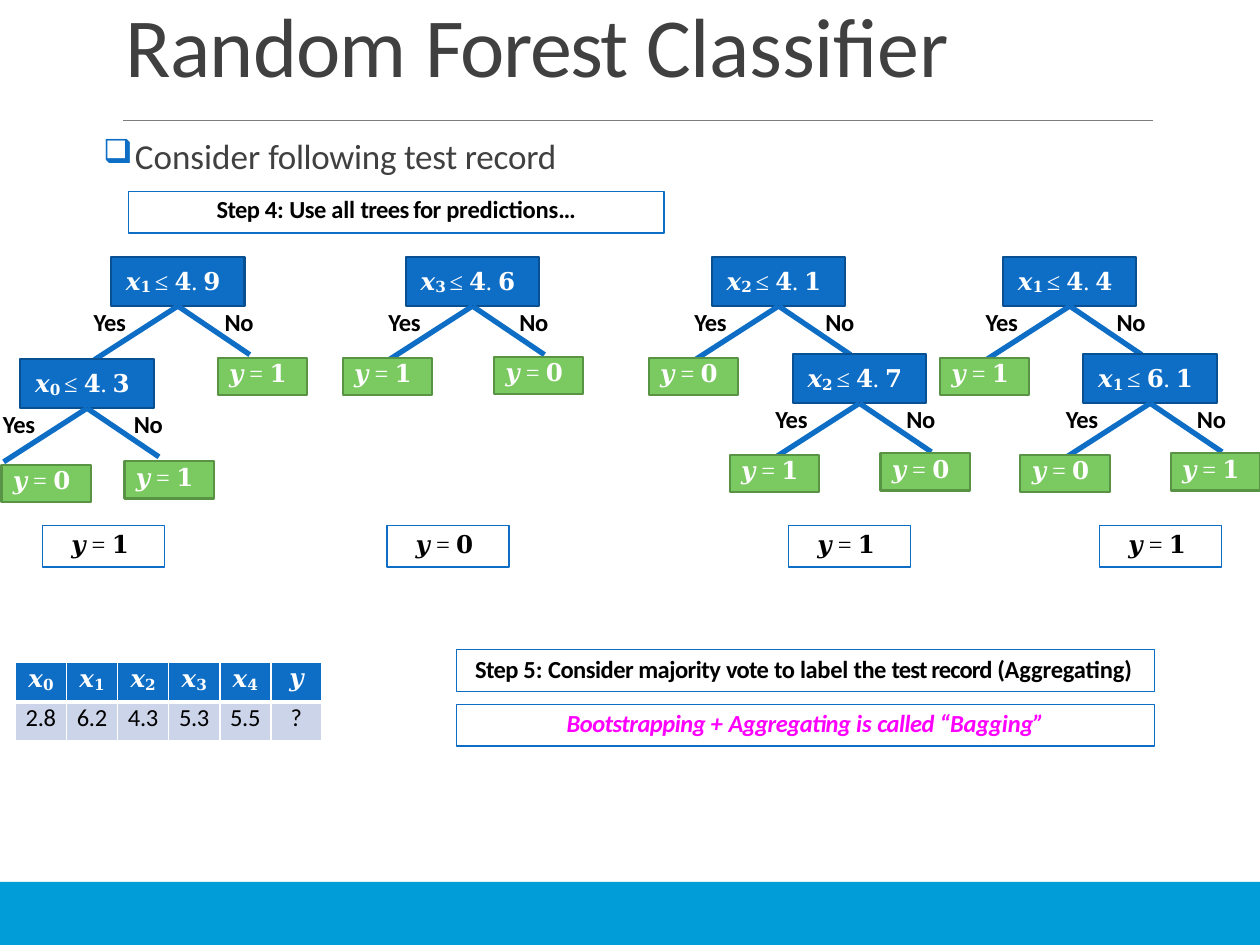
from lxml.etree import SubElement
from pptx import Presentation
from pptx.dml.color import RGBColor
from pptx.enum.shapes import MSO_CONNECTOR, MSO_SHAPE
from pptx.enum.text import MSO_ANCHOR, PP_ALIGN
from pptx.oxml import parse_xml
from pptx.oxml.ns import nsdecls, qn
from pptx.util import Cm, Pt

color = RGBColor.from_string
BLUE, GREEN, WHITE, BLACK = "0E6EC5", "7BC961", "FFFFFF", "000000"
HEADING = {"name": "Calibri", "size": Pt(48), "bold": False}
BODY = {"name": "Calibri", "size": Pt(20), "bold": False}
CELL = {"name": "Calibri", "size": Pt(14), "bold": False}
STRONG = {"name": "Calibri", "size": Pt(14), "bold": True}
STRONG_ITALIC = {**STRONG, "italic": True}
MATH = {"name": "Times New Roman", "size": Pt(14), "bold": False}


def write(paragraph, runs, style, hue, before=1, indent=0, centered=False):
    """Each run is (text, letter spacing in 1/100 pt, optional subscript flag)."""
    paragraph.alignment = PP_ALIGN.CENTER if centered else PP_ALIGN.LEFT
    paragraph.space_before = Pt(before)
    paragraph._p.get_or_add_pPr().set("marL", str(Cm(indent)))
    for text, spacing, *subscript in runs:
        run = paragraph.add_run()
        run.text = text
        for name, value in style.items():
            setattr(run.font, name, value)
        run.font.color.rgb = color(hue)
        properties = run._r.get_or_add_rPr()
        properties.set("spc", str(spacing))
        if subscript:
            run.font.size = Pt(15)
            properties.set("baseline", "-11000")


def add_box(at, runs, style, hue, fill=None, line=None, width=0.75, inset=0.03, **layout):
    lengths = [Cm(value) for value in at]
    if line:
        shape = slide.shapes.add_shape(MSO_SHAPE.RECTANGLE, *lengths)
        shape.shadow.inherit = False
        shape.line.color.rgb = color(line)
        shape.line.width = Pt(width)
        if fill:
            shape.fill.solid()
            shape.fill.fore_color.rgb = color(fill)
        else:
            shape.fill.background()
    else:
        shape = slide.shapes.add_textbox(*lengths)
    frame = shape.text_frame
    frame.word_wrap = True
    frame.vertical_anchor = MSO_ANCHOR.TOP
    frame.margin_left = frame.margin_right = frame.margin_bottom = 0
    frame.margin_top = Cm(inset)
    write(frame.paragraphs[0], runs, style, hue, **layout)
    return shape


presentation = Presentation()
presentation.slide_width, presentation.slide_height = Cm(25.4), Cm(19.05)
slide = presentation.slides.add_slide(presentation.slide_layouts[6])

# Footer band and title rule
band = slide.shapes.add_shape(MSO_SHAPE.RECTANGLE, 0, Cm(17.78), Cm(25.4), Cm(1.27))
band.shadow.inherit = False
band.fill.solid()
band.fill.fore_color.rgb = color("009DD9")
band.line.fill.background()
rule = slide.shapes.add_connector(MSO_CONNECTOR.STRAIGHT, Cm(2.48), Cm(2.43), Cm(23.24), Cm(2.43))
rule.line.color.rgb = color("7E7E7E")
rule.line.width = Pt(0.5)
SubElement(rule._element.spPr, qn("a:effectLst"))

# Title and bulleted sentence
add_box((0.76, -0.15, 21.82, 2.16), [("Random ", -50), ("Forest ", -90), ("Classifier", -20)],
        HEADING, "404040", indent=1.78)
sentence = add_box((2.06, 2.69, 9.19, 0.91),
                   [("Consider ", 0), ("following ", -20), ("test record", -10)],
                   BODY, "404040", indent=0.66)
properties = sentence.text_frame.paragraphs[0]._p.get_or_add_pPr()
properties.set("indent", str(Cm(-0.64)))
for bullet in (f'<a:buClr {nsdecls("a")}><a:srgbClr val="{BLUE}"/></a:buClr>',
               f'<a:buSzPct {nsdecls("a")} val="95000"/>',
               f'<a:buChar {nsdecls("a")} char="❑"/>'):
    properties.append(parse_xml(bullet))

# Step boxes
add_box((2.59, 3.86, 10.8, 0.84),
        [("Step ", -40), ("4: ", -10), ("Use ", -30), ("all ", -10), ("trees for ", -40),
         ("predictions…", -10)],
        STRONG, BLACK, line=BLUE, inset=0.05, before=1.7, centered=True)
add_box((9.2, 13.1, 14.07, 0.84),
        [("Step ", -40), ("5: ", 0), ("Consider majority ", -30), ("vote ", -40),
         ("to label ", -20), ("the ", -30), ("test record ", -50), ("(Aggregating)", -10)],
        STRONG, BLACK, line=BLUE, inset=0.08, before=1.9, indent=0.38)
add_box((9.2, 14.2, 14.07, 0.84),
        [("Bootstrapping ", -30), ("+ ", 0), ("Aggregating ", -30), ("is ", 0),
         ("called ", -30), ("“Bagging”", -10)],
        STRONG_ITALIC, "FF00FF", line=BLUE, inset=0.08, before=1.9, centered=True)

# Test record table
headers = ["𝟎", "𝟏", "𝟐", "𝟑", "𝟒", None]
values = ["2.8", "6.2", "4.3", "5.3", "5.5", "?"]
table = slide.shapes.add_table(2, 6, Cm(0.31), Cm(13.36), Cm(6.18), Cm(1.58)).table
for column in table.columns:
    column.width = Cm(1.03)
for row_index, fill in enumerate((BLUE, "CCD4EA")):
    table.rows[row_index].height = Cm(0.79)
    for column_index, (header, value) in enumerate(zip(headers, values)):
        cell = table.cell(row_index, column_index)
        cell.margin_left = cell.margin_right = cell.margin_bottom = 0
        cell.margin_top = Cm(0.03)
        # The line between the two rows is thicker than the others
        thick = "lnT" if row_index else "lnB"
        for side in ("lnL", "lnR", "lnT", "lnB"):
            width = Pt(3 if side == thick else 1)
            cell._tc.get_or_add_tcPr().append(parse_xml(
                f'<a:{side} {nsdecls("a")} w="{width}"><a:solidFill>'
                f'<a:srgbClr val="{WHITE}"/></a:solidFill></a:{side}>'))
        cell.fill.solid()
        cell.fill.fore_color.rgb = color(fill)
        paragraph = cell.text_frame.paragraphs[0]
        if row_index:
            write(paragraph, [(value, -20)], CELL, BLACK, before=0.8, centered=True)
        else:
            symbol = [("𝒙", -20), (header, -40, True)] if header else [("𝒚", -50)]
            write(paragraph, symbol, MATH, WHITE, centered=True)

# Vote of each tree
for left, vote in ((0.86, "𝟏"), (7.8, "𝟎"), (15.9, "𝟏"), (22.17, "𝟏")):
    add_box((left, 10.59, 2.46, 0.84), [("𝒚 = ", 0), (vote, -50)], MATH, BLACK,
            line=BLUE, inset=0.08, before=1.9, indent=0.58)

# Decision nodes, each with its two branches and their labels
nodes = [(2.24, 5.18, "𝟏", "𝟒", "𝟗"), (0.41, 7.24, "𝟎", "𝟒", "𝟑"),
         (8.18, 5.18, "𝟑", "𝟒", "𝟔"),
         (14.35, 5.18, "𝟐", "𝟒", "𝟏"), (15.98, 7.14, "𝟐", "𝟒", "𝟕"),
         (20.22, 5.18, "𝟏", "𝟒", "𝟒"), (21.84, 7.14, "𝟏", "𝟔", "𝟏")]
for left, top, feature, whole, decimal in nodes:
    node = add_box((left, top, 2.69, 0.99),
                   [("𝒙", 0), (feature + " ", 0, True), ("≤ ", 0), (whole + ". ", -10),
                    (decimal, -50)],
                   MATH, WHITE, fill=BLUE, line="085091", width=1.25, inset=0.14,
                   before=4, indent=0.3)
    for across, down in ((-1.68, 1.08), (1.45, 0.98)):
        branch = slide.shapes.add_connector(
            MSO_CONNECTOR.STRAIGHT, Cm(left + 1.345), Cm(top + 0.99),
            Cm(left + 1.345 + across), Cm(top + 0.99 + down))
        branch.begin_connect(node, 2)
        branch.line.color.rgb = color(BLUE)
        branch.line.width = Pt(3)
        SubElement(branch._element.spPr, qn("a:effectLst"))
    labels = add_box((left - 0.38, top + 0.97, 3.28, 0.66), [("Yes\tNo", -20)],
                     STRONG, BLACK, indent=0.03)
    labels.text_frame.paragraphs[0]._p.get_or_add_pPr().append(parse_xml(
        f'<a:tabLst {nsdecls("a")}><a:tab pos="{Cm(2.64)}" algn="l"/></a:tabLst>'))

# Leaves
leaves = [(4.39, 7.21, "𝟏"), (2.51, 9.3, "𝟏"), (0.03, 9.37, "𝟎"),
          (6.91, 7.21, "𝟏"), (9.96, 7.19, "𝟎"),
          (13.08, 7.21, "𝟎"), (14.71, 9.17, "𝟏"), (17.75, 9.14, "𝟎"),
          (18.95, 7.21, "𝟏"), (20.57, 9.17, "𝟎"), (23.6, 9.14, "𝟏")]
for left, top, label in leaves:
    add_box((left, top, 1.8, 0.75), [("𝒚 = ", 0), (label, -50)], MATH, WHITE,
            fill=GREEN, line="589346", width=1.25, inset=0.01, before=0.4, indent=0.23)

presentation.save("out.pptx")
